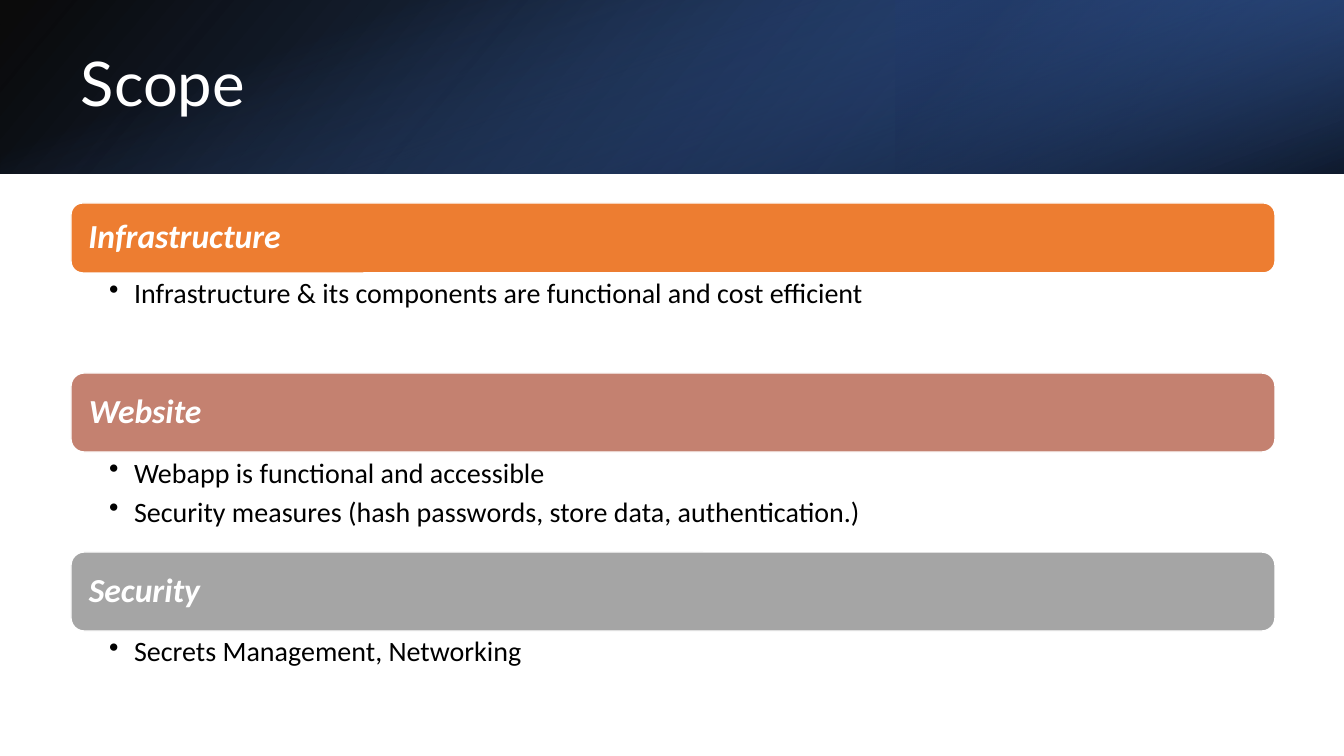
import pptx
import pptx.dml.color
import pptx.enum.shapes
import pptx.enum.text
import pptx.oxml
import pptx.oxml.ns
import pptx.util
from lxml import etree

PX = 914400 / 100.8
WIDE, HIGH, BAND = 1344, 756, 174
LEFT, SPAN, GAP = 71, 1204, 100
KIND = pptx.enum.shapes.MSO_SHAPE
MID = pptx.enum.text.MSO_ANCHOR.MIDDLE
Pt = pptx.util.Pt


def px(*nums):
    """Turn pixel lengths into EMU."""
    return [round(n * PX) for n in nums]


def tint(code):
    return pptx.dml.color.RGBColor.from_string(code)


deck = pptx.Presentation()
deck.slide_width, deck.slide_height = px(WIDE, HIGH)
slide = deck.slides.add_slide(deck.slide_layouts[6])
shapes = slide.shapes

# Header band: three layered gradients.
# Each: box, rotation, flipped, angle, stops (position, colour, opacity)
third = WIDE // 3
side = (WIDE - BAND) // 2
layers = [
    ((0, 0, WIDE, BAND), 0, True, 140, [(0, "000000", 96), (100, "2F5597", 100)]),
    ((WIDE - third, 0, third, BAND), 180, True, 320, [(19, "203864", 68), (100, "4472C4", 79)]),
    ((side, -side, BAND, WIDE), 90, False, 340, [(23, "4472C4", 0), (99, "000000", 74)]),
]
for box, turn, flip, angle, stops in layers:
    layer = shapes.add_shape(KIND.RECTANGLE, *px(*box))
    layer.shadow.inherit = False
    layer.line.fill.background()
    layer.rotation = turn
    props = layer.element.spPr
    if flip:
        props.find(pptx.oxml.ns.qn("a:xfrm")).set("flipH", "1")
    marks = "".join(
        f'<a:gs pos="{pos * 1000}"><a:srgbClr val="{code}">'
        f'<a:alpha val="{alpha * 1000}"/></a:srgbClr></a:gs>'
        for pos, code, alpha in stops
    )
    grad = pptx.oxml.parse_xml(
        f'<a:gradFill {pptx.oxml.ns.nsdecls("a")} rotWithShape="1"><a:gsLst>{marks}</a:gsLst>'
        f'<a:lin ang="{angle * 60000}" scaled="0"/></a:gradFill>'
    )
    props.find(pptx.oxml.ns.qn("a:prstGeom")).addnext(grad)

title = shapes.add_textbox(*px(LEFT, 38, 1107, 97)).text_frame
title.word_wrap = True
title.vertical_anchor = MID
para = title.paragraphs[0]
para.text = "Scope"
para.line_spacing = 0.9
para.font.name = "Lato"
para.font.size = Pt(44)
para.font.color.rgb = tint("FFFFFF")

# Sections: heading, bar colour, bar height, points
sections = [
    ("Infrastructure", "ED7D31", 70,
     ["Infrastructure & its components are functional and cost efficient"]),
    ("Website", "C48170", 79,
     ["Webapp is functional and accessible",
      "Security measures (hash passwords, store data, authentication.)"]),
    ("Security", "A5A5A5", 79, ["Secrets Management, Networking"]),
]
top = 203
for head, code, tall, points in sections:
    bar = shapes.add_shape(KIND.ROUNDED_RECTANGLE, *px(LEFT, top, SPAN, tall))
    bar.shadow.inherit = False
    bar.fill.solid()
    bar.fill.fore_color.rgb = tint(code)
    bar.line.color.rgb = tint("FFFFFF")
    bar.line.width = Pt(1)
    frame = bar.text_frame
    frame.word_wrap = True
    frame.vertical_anchor = MID
    frame.margin_left = frame.margin_right = px(14)[0]
    para = frame.paragraphs[0]
    para.text = head
    para.alignment = pptx.enum.text.PP_ALIGN.LEFT
    para.line_spacing = 0.9
    para.font.name = "Calibri"
    para.font.size = Pt(24)
    para.font.bold = para.font.italic = True
    para.font.color.rgb = tint("FFFFFF")
    top += tall

    body = shapes.add_textbox(*px(LEFT, top, SPAN, GAP)).text_frame
    body.word_wrap = True
    body.margin_left, body.margin_right = px(38, 16)
    body.margin_top = body.margin_bottom = px(3)[0]
    for num, point in enumerate(points):
        para = body.add_paragraph() if num else body.paragraphs[0]
        para.text = point
        para.space_after = Pt(4)
        para.font.name = "Calibri"
        para.font.size = Pt(20)
        para.font.color.rgb = tint("000000")
        props = para._p.get_or_add_pPr()
        dent = px(25)[0]
        props.set("marL", str(dent))
        props.set("indent", str(-dent))
        mark = etree.SubElement(props, pptx.oxml.ns.qn("a:buChar"))
        mark.set("char", "•")
        props.find(pptx.oxml.ns.qn("a:defRPr")).addprevious(mark)
    top += GAP

deck.save("out.pptx")
